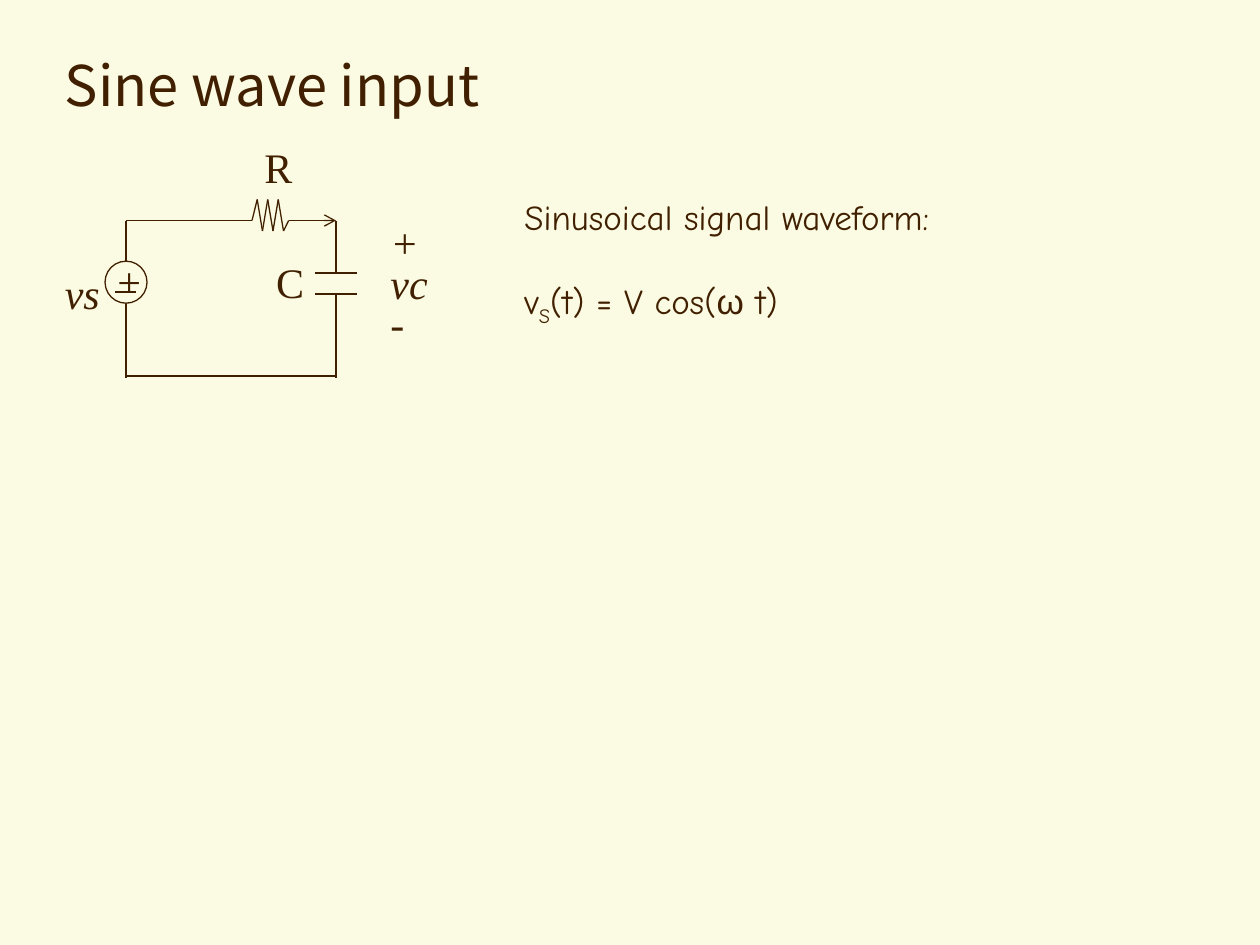
from dataclasses import dataclass
from itertools import pairwise
from lxml import etree
from pptx import Presentation
from pptx.dml.color import RGBColor
from pptx.enum.shapes import MSO_CONNECTOR, MSO_SHAPE
from pptx.enum.text import MSO_ANCHOR, MSO_AUTO_SIZE
from pptx.oxml.ns import qn
from pptx.util import Inches, Pt

LINE = MSO_CONNECTOR.STRAIGHT
OVAL = MSO_SHAPE.OVAL
MIDDLE = MSO_ANCHOR.MIDDLE
TOP = MSO_ANCHOR.TOP
GROW = MSO_AUTO_SIZE.SHAPE_TO_FIT_TEXT
FIXED = MSO_AUTO_SIZE.NONE
INK = "402000"
PAPER = "FBFAE2"
SERIF = "Times New Roman"
HAND = "Comic Neue"
STEPS = 24


@dataclass
class Wire:
    col: float
    row: float
    to_col: float
    to_row: float
    arrow: bool = False


@dataclass
class Label:
    rows: list[str]
    col: float
    row: float
    wide: float
    high: float
    size: int = 24
    face: str = SERIF
    slant: bool = False
    wrap: bool = True
    grow: bool = True
    space: float = 1.0
    before: int = 0


def cell(count: float) -> int:
    return Inches(count / STEPS)


def paint(code: str) -> RGBColor:
    return RGBColor.from_string(code)


def draw_wire(shapes, wire: Wire) -> None:
    line = shapes.add_connector(
        LINE, cell(wire.col), cell(wire.row), cell(wire.to_col), cell(wire.to_row)
    )
    line.line.color.rgb = paint(INK)
    line.line.width = Pt(0.75)
    if wire.arrow:
        etree.SubElement(line.line._get_or_add_ln(), qn("a:tailEnd"), type="arrow")
    etree.SubElement(line._element.spPr, qn("a:effectLst"))


def draw_label(shapes, label: Label):
    box = shapes.add_textbox(
        cell(label.col), cell(label.row), cell(label.wide), cell(label.high)
    )
    frame = box.text_frame
    frame.word_wrap = label.wrap
    frame.auto_size = GROW if label.grow else FIXED
    frame.vertical_anchor = TOP if label.grow else MIDDLE
    frame.text = "\n".join(label.rows)
    for para in frame.paragraphs:
        para.line_spacing = label.space
        para.space_before = Pt(label.before)
        font = para.font
        font.size = Pt(label.size)
        font.name = label.face
        font.italic = label.slant
        font.color.rgb = paint(INK)
    return frame


def draw_source(shapes) -> None:
    ring = shapes.add_shape(OVAL, cell(20), cell(49.75), cell(8), cell(8))
    ring.shadow.inherit = False
    ring.fill.background()
    ring.line.color.rgb = paint(INK)
    ring.line.width = Pt(0.75)


def draw_formula(shapes) -> None:
    frame = draw_label(
        shapes,
        Label(["Sinusoical signal waveform:", ""], 97.5, 36, 82.25, 35.5,
              size=20, face=HAND, wrap=False),
    )
    para = frame.paragraphs[1]
    para.space_before = Pt(24)
    for text in ("v", "S", "(t) = V cos(", "ω", " t)"):
        run = para.add_run()
        run.text = text
        if text == "S":
            run.font._element.set("baseline", "-25000")
        if text == "ω":
            run.font.name = "Arial"


WIRES = [
    Wire(55, 42, 64, 42, arrow=True),
    Wire(24, 42, 48, 42),
    Wire(24, 42, 24, 50),
    Wire(24, 58, 24, 72),
    Wire(60, 52, 68, 52),
    Wire(60, 56, 68, 56),
    Wire(64, 42, 64, 52),
    Wire(64, 56, 64, 72),
    Wire(24, 71.6, 64, 71.6),
    Wire(22, 55.6, 26, 55.6),
]
PEAKS = [42, 38, 44, 38, 44, 38, 44, 42]
COIL = [Wire(*a, *b) for a, b in pairwise(enumerate(PEAKS, start=48))]
LABELS = [
    Label(["Sine wave input"], 10, 6, 220, 20, 32, "Noto Sans CJK KR", grow=False),
    Label(["+"], 20, 47.5, 8, 12, before=15),
    Label(["vs"], 10, 49.75, 12, 12, slant=True),
    Label(["+", "vc", "-"], 72, 42, 76, 25.75, slant=True, space=0.8),
    Label(["C"], 50.25, 47.75, 10, 12, wrap=False),
    Label(["R"], 48, 25.75, 10, 12, wrap=False),
]


def main() -> None:
    deck = Presentation()
    deck.slide_width = Inches(10)
    deck.slide_height = Inches(7.5)
    slide = deck.slides.add_slide(deck.slide_layouts[6])
    back = slide.background.fill
    back.solid()
    back.fore_color.rgb = paint(PAPER)
    for wire in WIRES + COIL:
        draw_wire(slide.shapes, wire)
    draw_source(slide.shapes)
    for label in LABELS:
        draw_label(slide.shapes, label)
    draw_formula(slide.shapes)
    deck.save("out.pptx")


if __name__ == "__main__":
    main()
